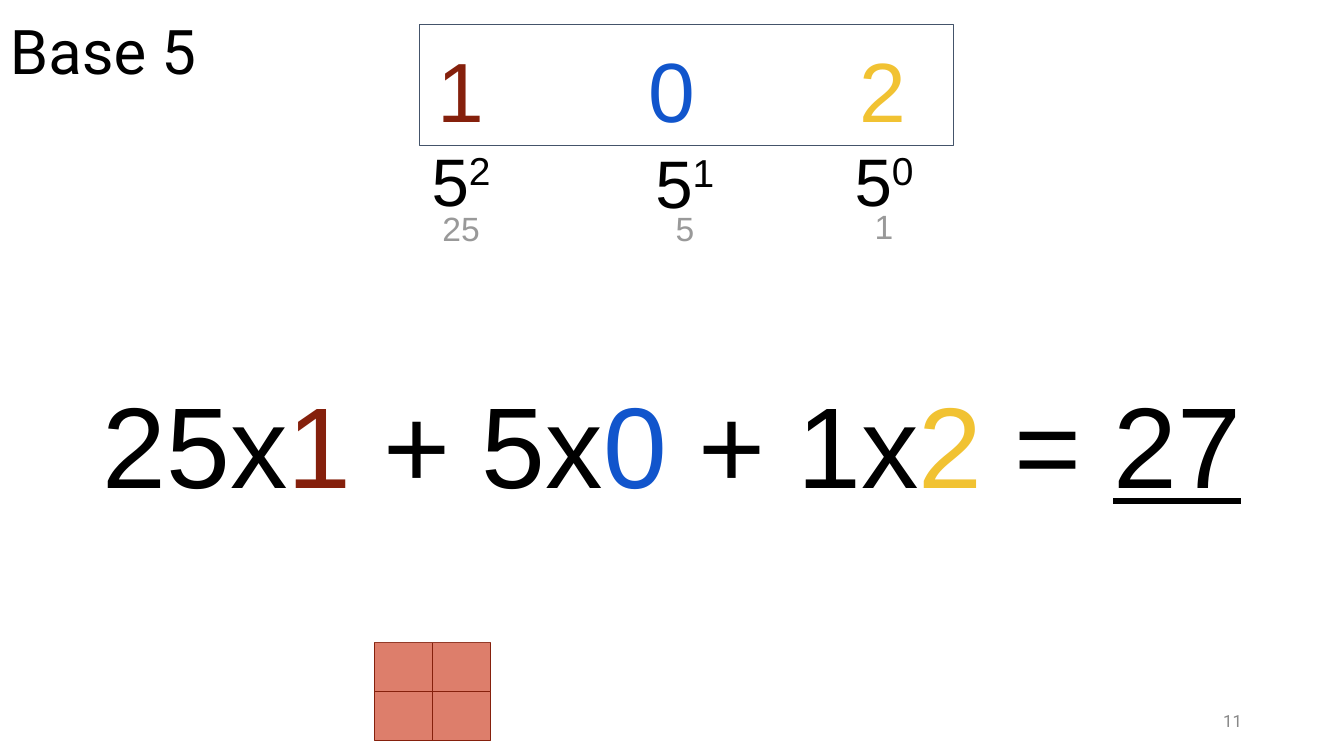
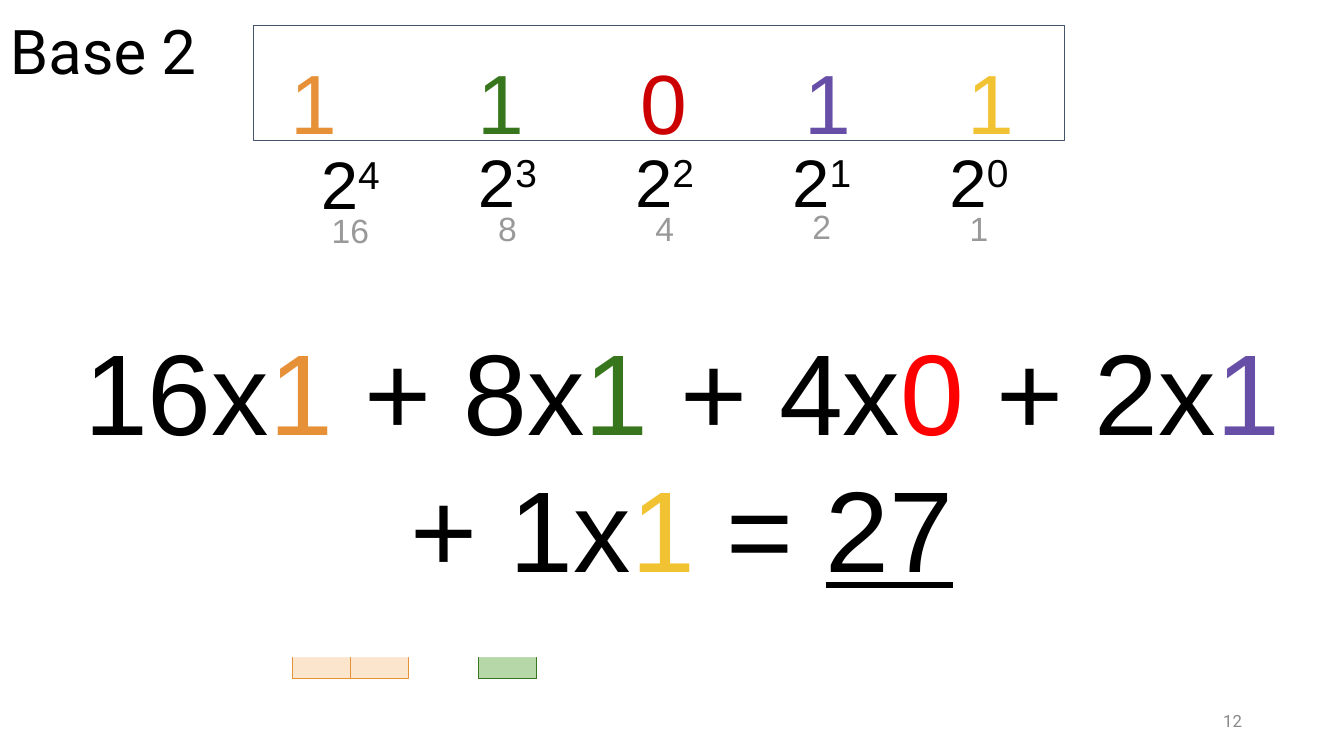
"""Build two slides that expand a number written in base 5 and in base 2."""
import pptx
import pptx.dml.color
import pptx.enum.shapes
import pptx.enum.text
import pptx.oxml
import pptx.oxml.ns
import pptx.util

Cm, Pt = pptx.util.Cm, pptx.util.Pt
ALIGN = pptx.enum.text.PP_ALIGN
ANCHOR = pptx.enum.text.MSO_ANCHOR

BLACK, GRAY, WHITE, SLATE = "000000", "999999", "FFFFFF", "44546A"
FIRST_NUMBER = 11
TILE_W, TILE_H = 1.46, 1.24
DIGIT_W, DIGIT_H = 3.53, 2.26
POWER_W, POWER_H = 4.34, 2.11
VALUE_W, VALUE_H = 1.68, 1.24
TITLE = {"size": Pt(44), "name": "Roboto"}
NUMBER = {"size": Pt(12), "name": "Roboto"}
DIGIT = {"size": Pt(60), "name": "Arial"}
POWER = {"size": Pt(48), "name": "Arial"}
VALUE = {"size": Pt(24), "name": "Arial"}
EQUATION = {"size": Pt(82), "name": "Arial"}

SLIDES = [
    {
        "base": 5,
        "title_width": 29.21,
        "frame": (10.57, 0.61, 13.46, 3.05),
        "panel": (1.93, 6.15, 30, 10.03),
        "digits": [("1", "85200C"), ("0", "1155CC"), ("2", "F1C232")],
        "term_colors": ["85200C", "1155CC", "F1C232"],
        "digit_top": 0.71,
        "digit_centers": [11.62, 16.93, 22.26],
        "power_centers": [11.62, 17.26, 22.28],
        "power_tops": [3.25, 3.3, 3.25],
        "value_tops": [4.98, 4.98, 4.95],
        "tiles": [(9.45, 16.18, 2, 2, "DD7E6B", "85200C")],
    },
    {
        "base": 2,
        "title_width": 5.49,
        "frame": (6.38, 0.64, 20.45, 2.9),
        "panel": (1.3, 6.53, 31.78, 10.03),
        "digits": [("1", "E69138"), ("1", "38761D"), ("0", "CC0000"),
                   ("1", "674EA7"), ("1", "F1C232")],
        "term_colors": ["E69138", "38761D", "FF0000", "674EA7", "F1C232"],
        "digit_top": 1.02,
        "digit_centers": [7.9] + [12.62 + 4.12 * step for step in range(4)],
        "power_centers": [8.83 + 3.96 * step for step in range(5)],
        "power_tops": [3.33, 3.28, 3.28, 3.28, 3.28],
        "value_tops": [5.05, 5, 5, 4.95, 4.98],
        "tiles": [(7.37, 15.87, 2, 1, "FCE5CD", "E69138"),
                  (12.07, 15.87, 1, 1, "B6D7A8", "38761D")],
    },
]


def rgb(color):
    """Turn a hex string into a colour."""
    return pptx.dml.color.RGBColor.from_string(color)


def apply(target, values):
    """Set every attribute named in values."""
    for name, value in values.items():
        setattr(target, name, value)


def set_frame(frame, anchor, inset):
    """Wrap the text and set its anchor and its top and bottom insets."""
    apply(frame, {
        "word_wrap": True, "vertical_anchor": anchor,
        "margin_left": Cm(0.25), "margin_right": Cm(0.25),
        "margin_top": Cm(inset), "margin_bottom": Cm(inset),
    })


def add_run(paragraph, text, style, color=BLACK):
    """Append a formatted run."""
    run = paragraph.add_run()
    run.text = text
    apply(run.font, style)
    run.font.color.rgb = rgb(color)
    return run


def add_box(slide, box, align=ALIGN.CENTER, anchor=ANCHOR.TOP, inset=0.25):
    """Add a text box and return its paragraph."""
    frame = slide.shapes.add_textbox(*map(Cm, box)).text_frame
    set_frame(frame, anchor, inset)
    frame.paragraphs[0].alignment = align
    return frame.paragraphs[0]


def add_rect(slide, box, fill=None, line=None):
    """Add a rectangle with an optional fill and outline."""
    rect = slide.shapes.add_shape(
        pptx.enum.shapes.MSO_SHAPE.RECTANGLE, *map(Cm, box))
    rect.shadow.inherit = False
    for part, color in ((rect.fill, fill), (rect.line.fill, line)):
        if color:
            part.solid()
            part.fore_color.rgb = rgb(color)
        else:
            part.background()
    if line:
        rect.line.width = Pt(0.75)
    return rect


def add_title(slide, text, width):
    """Place and format the title."""
    title = slide.shapes.title
    apply(title, {"left": Cm(0), "top": Cm(0.18),
                  "width": Cm(width), "height": Cm(2.39)})
    set_frame(title.text_frame, ANCHOR.MIDDLE, 0.13)
    paragraph = title.text_frame.paragraphs[0]
    apply(paragraph, {"alignment": ALIGN.LEFT, "line_spacing": 0.9})
    add_run(paragraph, text, TITLE)


def add_number(slide, number):
    """Add the slide number as a field."""
    paragraph = add_box(slide, (23.93, 17.65, 7.62, 1.02),
                        ALIGN.RIGHT, ANCHOR.MIDDLE, 0.13)
    run = add_run(paragraph, str(number), NUMBER, "888888")._r
    field = pptx.oxml.parse_xml(
        f'<a:fld {pptx.oxml.ns.nsdecls("a")} type="slidenum" '
        'id="{B6F15528-21DE-4FAA-801E-634DDDAF4B2B}"/>')
    run.addprevious(field)
    for child in list(run):
        field.append(child)
    paragraph._p.remove(run)


def add_tiles(slide, left, top, columns, rows, fill, line):
    """Add a grid of touching tiles."""
    for row in range(rows):
        for column in range(columns):
            add_rect(slide, (left + column * TILE_W, top + row * TILE_H,
                             TILE_W, TILE_H), fill, line)


def add_columns(slide, content, values):
    """Add each digit with its power and place value below."""
    places = zip(content["digits"], content["digit_centers"],
                 content["power_centers"], content["power_tops"],
                 content["value_tops"], values)
    for index, place in enumerate(places):
        (digit, color), digit_x, power_x, power_y, value_y, value = place
        add_run(add_box(slide, (digit_x - DIGIT_W / 2, content["digit_top"],
                                DIGIT_W, DIGIT_H)), digit, DIGIT, color)
        power = add_box(slide, (power_x - POWER_W / 2, power_y,
                                POWER_W, POWER_H))
        add_run(power, str(content["base"]), POWER)
        exponent = add_run(power, str(len(values) - 1 - index), POWER)
        exponent._r.get_or_add_rPr().set("baseline", "30000")
        add_run(add_box(slide, (power_x - VALUE_W / 2, value_y,
                                VALUE_W, VALUE_H)), str(value), VALUE, GRAY)


def add_equation(slide, content, values):
    """Add the panel with the sum of all places."""
    frame = add_rect(slide, content["panel"], WHITE).text_frame
    set_frame(frame, ANCHOR.MIDDLE, 0.25)
    paragraph = frame.paragraphs[0]
    paragraph.alignment = ALIGN.CENTER
    total, sign = 0, ""
    for (digit, _), color, value in zip(
            content["digits"], content["term_colors"], values):
        add_run(paragraph, f"{sign}{value}x", EQUATION)
        add_run(paragraph, digit, EQUATION, color)
        total, sign = total + value * int(digit), " + "
    add_run(paragraph, " = ", EQUATION)
    add_run(paragraph, str(total), {**EQUATION, "underline": True})


def main():
    """Build and save the presentation."""
    deck = pptx.Presentation()
    apply(deck, {"slide_width": Cm(33.87), "slide_height": Cm(19.05)})
    deck.element.set("firstSlideNum", str(FIRST_NUMBER))
    for number, content in enumerate(SLIDES, FIRST_NUMBER):
        slide = deck.slides.add_slide(deck.slide_layouts[5])
        size = len(content["digits"])
        values = [content["base"] ** (size - 1 - index)
                  for index in range(size)]
        add_title(slide, f"Base {content['base']}", content["title_width"])
        add_number(slide, number)
        add_rect(slide, content["frame"], line=SLATE)
        add_columns(slide, content, values)
        for tiles in content["tiles"]:
            add_tiles(slide, *tiles)
        add_equation(slide, content, values)
    deck.save("out.pptx")


if __name__ == "__main__":
    main()
